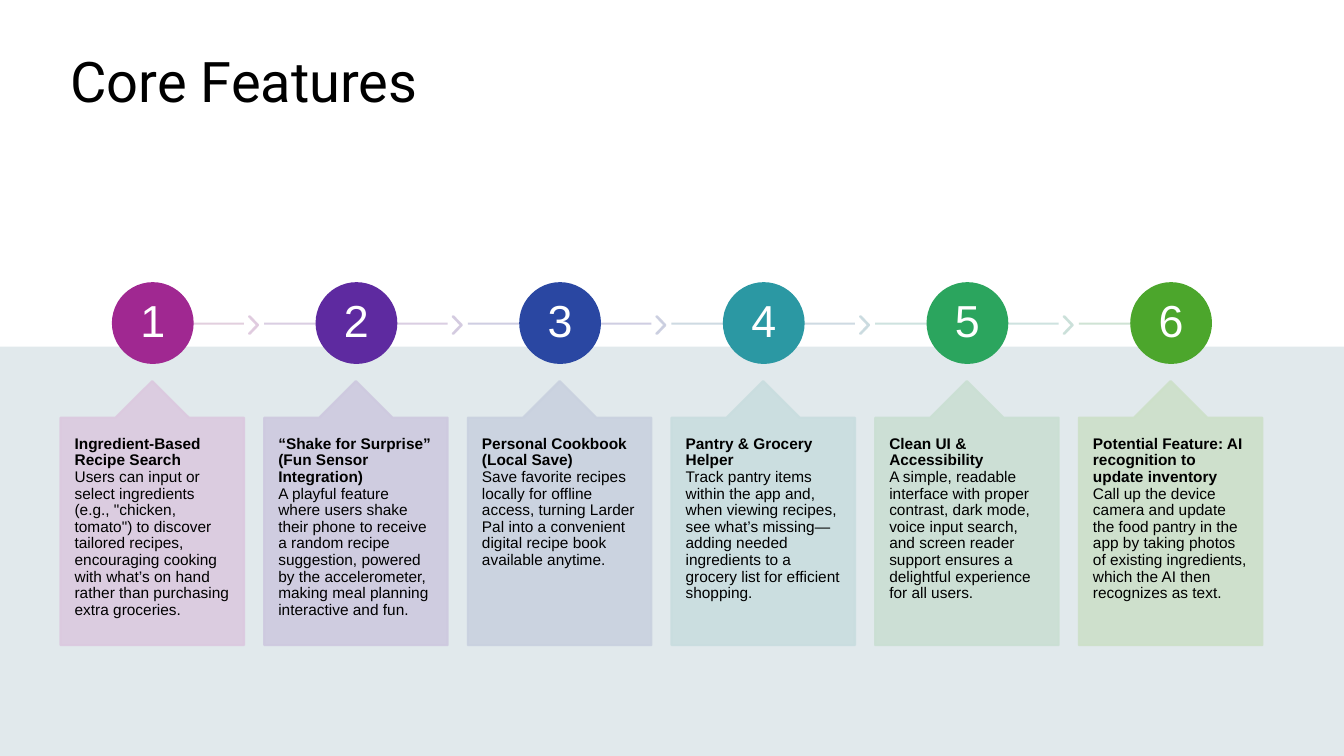
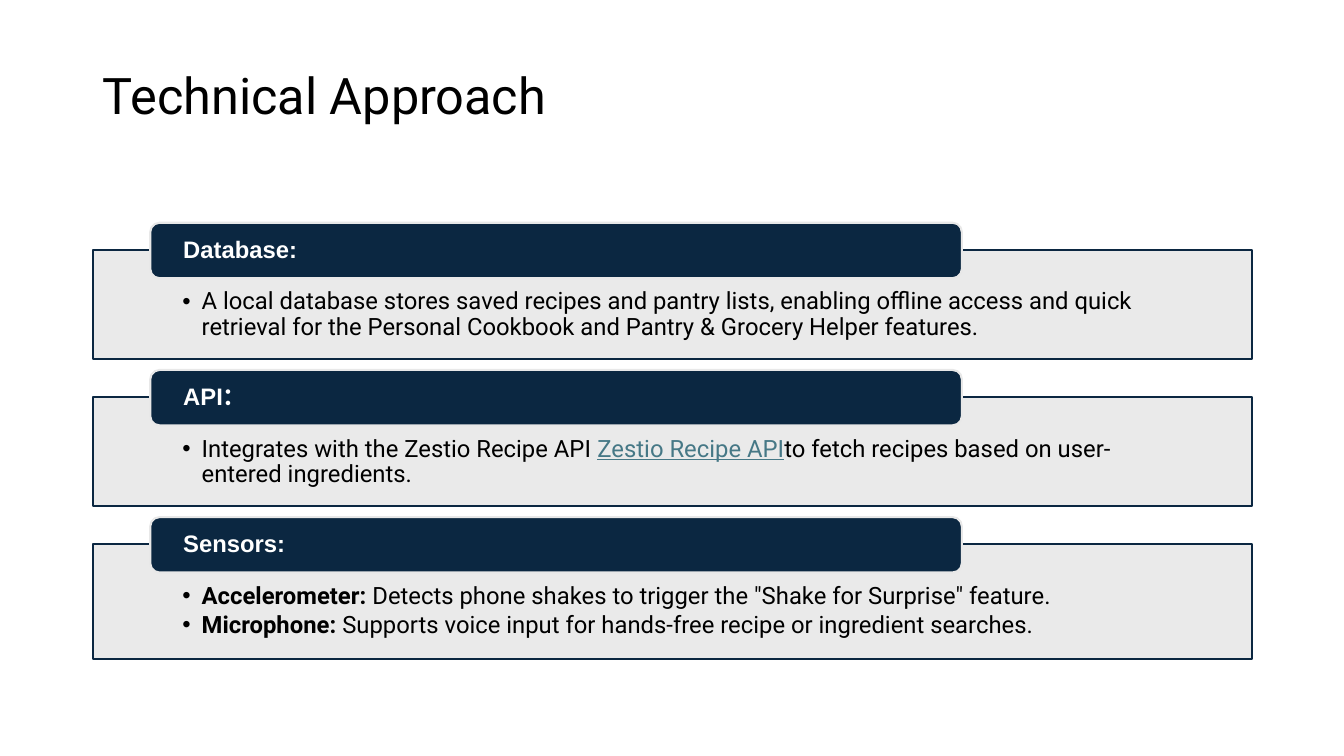
from lxml import etree
from pptx import Presentation
from pptx.dml.color import RGBColor
from pptx.enum.shapes import MSO_CONNECTOR, MSO_SHAPE
from pptx.enum.text import MSO_ANCHOR, MSO_AUTO_SIZE, PP_ALIGN
from pptx.oxml.ns import qn
from pptx.util import Emu, Pt

RECTANGLE = MSO_SHAPE.RECTANGLE
ROUNDED = MSO_SHAPE.ROUNDED_RECTANGLE
OVAL = MSO_SHAPE.OVAL
CHEVRON = MSO_SHAPE.CHEVRON
CALLOUT = MSO_SHAPE.UP_ARROW_CALLOUT
STRAIGHT = MSO_CONNECTOR.STRAIGHT
TOP, MIDDLE = MSO_ANCHOR.TOP, MSO_ANCHOR.MIDDLE
LEFT, CENTER = PP_ALIGN.LEFT, PP_ALIGN.CENTER
NO_AUTOFIT = MSO_AUTO_SIZE.NONE

EMU_PER_PX = 9144
SLIDE_WIDTH, SLIDE_HEIGHT = 1333, 750
HEADING_FONT, LABEL_FONT = "Roboto", "Arial"
BLACK, WHITE = "000000", "FFFFFF"
GRAY, TINT = "F2F2F2", "0B769F"
NAVY, PALE, LINK = "0B2741", "E8E8E8", "467886"
LINE_WIDTH = 1.5
SOFT = 90

CARD_LEFT, CARD_TOP, CARD_WIDTH, CARD_HEIGHT = 60, 378, 182, 262
CARD_PITCH = 202
CIRCLE_TOP, CIRCLE_SIZE = 281, 79
TRACK_Y = 321

# circle, track, chevron and card colours, heading, description
FEATURES = [
    ("A02891", "DFCADB", "DFC9DE", "DBC9DF", "Ingredient-Based Recipe Search",
     "Users can input or select ingredients (e.g., \"chicken, tomato\") to discover tailored "
     "recipes, encouraging cooking with what’s on hand rather than purchasing extra groceries."),
    ("5E2AA0", "D7C9DF", "D2C9DF", "CEC9DF", "“Shake for Surprise” (Fun Sensor Integration)",
     "A playful feature where users shake their phone to receive a random recipe suggestion, "
     "powered by the accelerometer, making meal planning interactive and fun."),
    ("2A47A2", "CAC9DF", "C9CDDF", "C9D1DF", "Personal Cookbook (Local Save)",
     "Save favorite recipes locally for offline access, turning Larder Pal into a convenient "
     "digital recipe book available anytime."),
    ("2B98A3", "C9D6DF", "C9DADF", "C9DDDF", "Pantry & Grocery Helper",
     "Track pantry items within the app and, when viewing recipes, see what’s missing—adding "
     "needed ingredients to a grocery list for efficient shopping."),
    ("2BA55E", "C9DFDC", "C9DFD8", "CADFD3", "Clean UI & Accessibility",
     "A simple, readable interface with proper contrast, dark mode, voice input search, and "
     "screen reader support ensures a delightful experience for all users."),
    ("4CA62C", "CAE0D0", None, "CDE0C9", "Potential Feature: AI recognition to update inventory",
     "Call up the device camera and update the food pantry in the app by taking photos of "
     "existing ingredients, which the AI then recognizes as text."),
]

# heading, box height, bullets made of (text, style) runs
SECTIONS = [
    ("Database:", 108, [
        [("A local database stores saved recipes and pantry lists, enabling offline access and "
          "quick retrieval for the Personal Cookbook and Pantry & Grocery Helper features.", {})],
    ]),
    ("API：", 108, [
        [("Integrates with the Zestio Recipe API ", {}),
         ("Zestio Recipe API", {"color": LINK, "underline": True}),
         ("to fetch recipes based on user-entered ingredients.", {})],
    ]),
    ("Sensors:", 114, [
        [("Accelerometer:", {"bold": True}),
         (" Detects phone shakes to trigger the \"Shake for Surprise\" feature.", {})],
        [("Microphone:", {"bold": True}),
         (" Supports voice input for hands-free recipe or ingredient searches.", {})],
    ]),
]


def px(length):
    return Emu(length * EMU_PER_PX)


def rgb(color):
    return RGBColor.from_string(color)


def set_opacity(shape, color_path, percent):
    """Make the colours found under the shape's properties translucent."""
    if percent < 100:
        for color in shape.element.spPr.xpath(color_path):
            etree.SubElement(color, qn("a:alpha"), val=str(percent * 1000))


def set_line(shape, color, opacity):
    shape.line.color.rgb = rgb(color)
    shape.line.width = Pt(LINE_WIDTH)
    set_opacity(shape, "a:ln/a:solidFill/a:srgbClr", opacity)


def add_box(slide, kind, box, fill, line=None, opacity=100, line_opacity=100, adjustments=()):
    shape = slide.shapes.add_shape(kind, *map(px, box))
    shape.shadow.inherit = False
    for index, value in enumerate(adjustments):
        shape.adjustments[index] = value
    shape.fill.solid()
    shape.fill.fore_color.rgb = rgb(fill)
    set_opacity(shape, "a:solidFill/a:srgbClr", opacity)
    if line:
        set_line(shape, line, line_opacity)
    else:
        shape.line.fill.background()
    return shape


def add_track(slide, start, end, color):
    track = slide.shapes.add_connector(STRAIGHT, px(start), px(TRACK_Y), px(end), px(TRACK_Y))
    set_line(track, color, SOFT)
    etree.SubElement(track.element.spPr, qn("a:effectLst"))


def prepare_frame(shape, insets, anchor):
    """Set insets (left, top, right, bottom) and anchor; return the text frame."""
    frame = shape.text_frame
    frame.word_wrap = True
    frame.auto_size = NO_AUTOFIT
    frame.vertical_anchor = anchor
    frame.margin_left, frame.margin_top, frame.margin_right, frame.margin_bottom = map(px, insets)
    return frame


def format_paragraph(paragraph, alignment=LEFT):
    paragraph.alignment = alignment
    paragraph.line_spacing = 0.9
    paragraph.space_before = Pt(0)
    return paragraph


def add_run(paragraph, text, size, font, color=BLACK, bold=False, underline=False):
    run = paragraph.add_run()
    run.text = text
    run.font.size = Pt(size)
    run.font.name = font
    run.font.color.rgb = rgb(color)
    run.font.bold = bold
    run.font.underline = underline


def add_bullet(paragraph, indent):
    paragraph.level = 1
    properties = paragraph._p.get_or_add_pPr()
    properties.set("marL", str(px(indent)))
    properties.set("indent", str(px(-indent)))
    etree.SubElement(properties, qn("a:buFont"), typeface="Arial")
    etree.SubElement(properties, qn("a:buChar"), char="•")


def add_title(slide, text, box, size, top_inset):
    """Format the title placeholder and bring it in front of what is drawn so far."""
    title = slide.shapes.title
    title.left, title.top, title.width, title.height = map(px, box)
    frame = prepare_frame(title, (10, top_inset, 10, 5), TOP)
    add_run(format_paragraph(frame.paragraphs[0]), text, size, HEADING_FONT)
    title.element.getparent().append(title.element)


def add_feature(slide, index, feature):
    circle_color, track_color, chevron_color, card_color, heading, description = feature
    left = CARD_LEFT + index * CARD_PITCH
    center = left + CARD_WIDTH // 2
    is_first, is_last = index == 0, index == len(FEATURES) - 1

    add_track(slide, center if is_first else left,
              center if is_last else left + CARD_WIDTH, track_color)
    if chevron_color:
        add_box(slide, CHEVRON, (left + 187, 314, 9, 17), chevron_color, chevron_color,
                SOFT, SOFT, [0.9])

    circle = add_box(slide, OVAL, (center - CIRCLE_SIZE // 2, CIRCLE_TOP, CIRCLE_SIZE, CIRCLE_SIZE),
                     circle_color, circle_color)
    frame = prepare_frame(circle, (3, 3, 3, 3), MIDDLE)
    add_run(format_paragraph(frame.paragraphs[0], CENTER), str(index + 1), 32, LABEL_FONT, WHITE)

    card = add_box(slide, CALLOUT, (left, CARD_TOP, CARD_WIDTH, CARD_HEIGHT), card_color,
                   card_color, SOFT, SOFT, [0.5, 0.2, 0.2, 1])
    frame = prepare_frame(card, (14, 18, 14, 18), TOP)
    paragraph = format_paragraph(frame.paragraphs[0])
    add_run(paragraph, heading, 11, LABEL_FONT, bold=True)
    paragraph.add_line_break()
    add_run(paragraph, description, 11, LABEL_FONT)


def add_section(slide, top, heading, height, bullets):
    body = add_box(slide, RECTANGLE, (92, top, 1150, height), PALE, NAVY, SOFT)
    frame = prepare_frame(body, (89, 39, 89, 13), TOP)
    for index, runs in enumerate(bullets):
        paragraph = format_paragraph(frame.add_paragraph() if index else frame.paragraphs[0])
        if index:
            paragraph.space_before = Pt(2.5)
        add_bullet(paragraph, 19)
        for text, style in runs:
            add_run(paragraph, text, 17, HEADING_FONT, **style)

    label = add_box(slide, ROUNDED, (149, top - 27, 805, 55), NAVY, PALE, adjustments=[0.167])
    frame = prepare_frame(label, (30, 0, 30, 0), MIDDLE)
    add_run(format_paragraph(frame.paragraphs[0]), heading, 17, LABEL_FONT, WHITE, bold=True)


def build_features_slide(slide):
    add_box(slide, RECTANGLE, (0, 0, SLIDE_WIDTH, SLIDE_HEIGHT), GRAY)
    add_box(slide, RECTANGLE, (0, 0, SLIDE_WIDTH, SLIDE_HEIGHT), TINT, opacity=7)
    add_box(slide, RECTANGLE, (0, 0, SLIDE_WIDTH, 344), WHITE)
    add_title(slide, "Core Features", (60, 40, 1213, 145), 40, 14)
    for index, feature in enumerate(FEATURES):
        add_feature(slide, index, feature)


def build_approach_slide(slide):
    add_title(slide, "Technical Approach", (92, 61, 1150, 124), 36, 9)
    top = 248
    for heading, height, bullets in SECTIONS:
        add_section(slide, top, heading, height, bullets)
        top += height + 38


def main():
    presentation = Presentation()
    presentation.slide_width = px(SLIDE_WIDTH)
    presentation.slide_height = px(SLIDE_HEIGHT)
    title_only = presentation.slide_layouts[5]
    for build in (build_features_slide, build_approach_slide):
        build(presentation.slides.add_slide(title_only))
    presentation.save("out.pptx")


if __name__ == "__main__":
    main()
